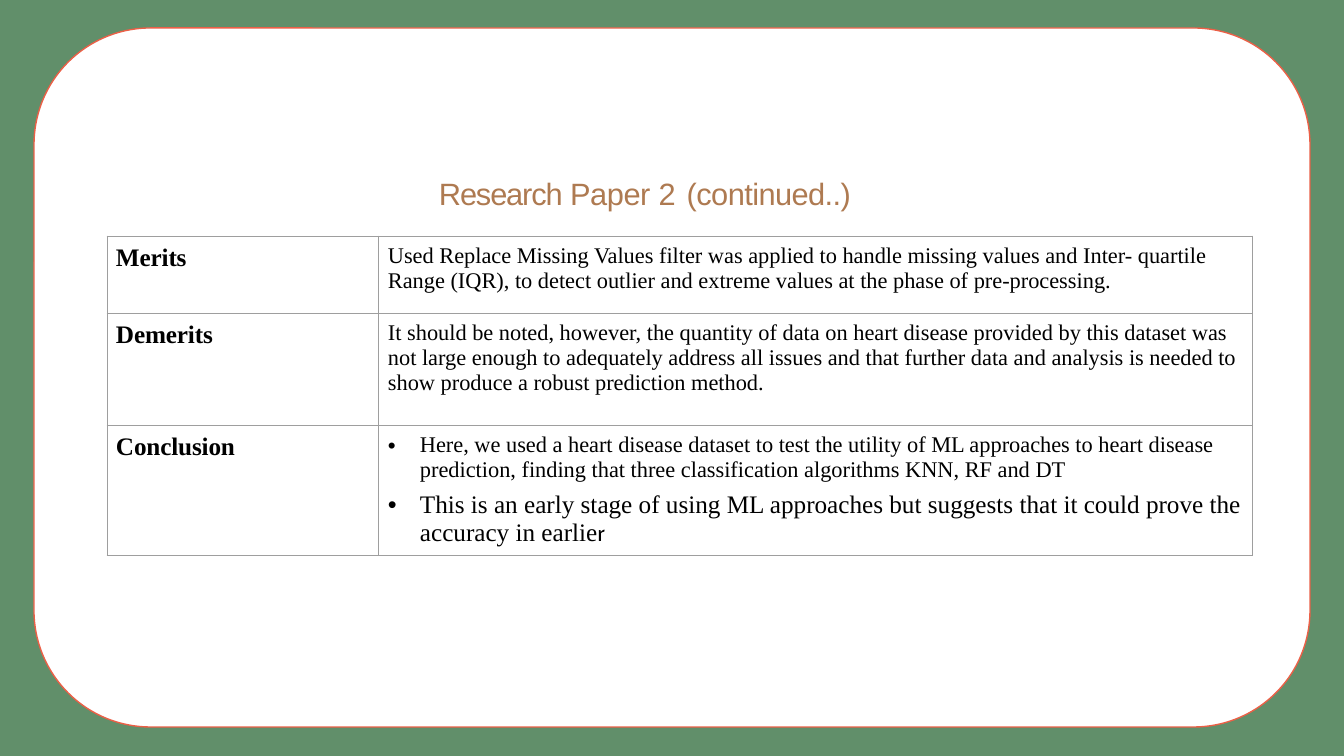
from lxml import etree
from pptx import Presentation
from pptx import util as u
from pptx.dml.color import RGBColor
from pptx.enum import shapes, text
from pptx.oxml.ns import qn

COLORS = {"green": "618F6A", "white": "FFFFFF", "coral": "EB6047",
          "brown": "AE7A51", "black": "000000", "grey": "9E9E9E"}
SERIF = "Times New Roman"


def px(count):
    return u.Emu(round(count * 914400 / 100.8))


def add_span(para, words, color, spacing=0, **formats):
    span = para.add_run()
    span.text = words
    for name, value in formats.items():
        setattr(span.font, name, value)
    span.font.color.rgb = RGBColor.from_string(COLORS[color])
    span.font._element.set("spc", str(spacing))


deck = Presentation()
deck.slide_width, deck.slide_height = px(1344), px(756)
page = deck.slides.add_slide(deck.slide_layouts[5])
page.background.fill.solid()
page.background.fill.fore_color.rgb = RGBColor.from_string(COLORS["green"])

card = page.shapes.add_shape(shapes.MSO_SHAPE.ROUNDED_RECTANGLE,
                             px(34), px(28), px(1276), px(699))
card.shadow.inherit = False
card.fill.solid()
card.fill.fore_color.rgb = RGBColor.from_string(COLORS["white"])
card.line.color.rgb = RGBColor.from_string(COLORS["coral"])
card.line.width = u.Pt(1)

title = page.shapes.title
title._element.addprevious(card._element)
title.left, title.top, title.width, title.height = px(375), px(174), px(540), px(38)
frame_format = {"margin_left": 0, "margin_right": 0, "margin_top": px(1),
                "margin_bottom": 0, "word_wrap": True,
                "vertical_anchor": text.MSO_ANCHOR.BOTTOM,
                "auto_size": text.MSO_AUTO_SIZE.NONE}
for name, value in frame_format.items():
    setattr(title.text_frame, name, value)
heading = title.text_frame.paragraphs[0]
heading.alignment = text.PP_ALIGN.CENTER
for words, spacing in [("Research ", -80), ("Paper ", -30), ("2 ", 90), ("(continued..)", -40)]:
    add_span(heading, words, "brown", spacing, name="Arial", size=u.Pt(22), bold=False)

rows = [
    ("Merits", 77, [[("Used Replace Missing Values filter was applied to handle missing values "
                      "and Inter- quartile Range (IQR), to detect outlier and extreme values at "
                      "the phase of pre-processing.", 16, SERIF)]]),
    ("Demerits", 112, [[("It should be noted, however, the quantity of data on heart disease "
                         "provided by this dataset was not large enough to adequately address all "
                         "issues and that further data and analysis is needed to show produce a "
                         "robust prediction method.", 16, SERIF)]]),
    ("Conclusion", 131, [
        [("Here, we used a heart disease dataset to test the utility of ML approaches to heart "
          "disease prediction, finding that three classification algorithms KNN, RF and DT",
          16, SERIF)],
        [("This is an early stage of using ML approaches but suggests that it could prove the "
          "accuracy in earlie", 18, SERIF), ("r", 16, "Cabin")]]),
]
table = page.shapes.add_table(len(rows), 2, px(107), px(236), px(1146), px(320)).table
table.first_row = table.horz_banding = False
for column, width in zip(table.columns, [272, 874]):
    column.width = px(width)

for index, (label, height, paragraphs) in enumerate(rows):
    table.rows[index].height = px(height)
    label_cell, detail_cell = table.cell(index, 0), table.cell(index, 1)
    for cell in (label_cell, detail_cell):
        cell.margin_left = cell.margin_right = cell.margin_bottom = 0
        cell.margin_top = px(8)
        properties = cell._tc.get_or_add_tcPr()
        for side in ("lnL", "lnR", "lnT", "lnB"):
            border = etree.SubElement(properties, qn(f"a:{side}"), w=str(u.Pt(0.75)))
            paint = etree.SubElement(border, qn("a:solidFill"))
            etree.SubElement(paint, qn("a:srgbClr"), val=COLORS["grey"])
        cell.fill.solid()
        cell.fill.fore_color.rgb = RGBColor.from_string(COLORS["white"])

    para = label_cell.text_frame.paragraphs[0]
    para._p.get_or_add_pPr().set("marL", str(px(9)))
    add_span(para, label, "black", -10, name=SERIF, size=u.Pt(18), bold=True)

    bulleted = len(paragraphs) > 1
    for order, spans in enumerate(paragraphs):
        frame = detail_cell.text_frame
        para = frame.add_paragraph() if order else frame.paragraphs[0]
        layout = para._p.get_or_add_pPr()
        layout.set("marL", str(px(41 if bulleted else 9)))
        if bulleted:
            layout.set("indent", str(-px(32)))
            etree.SubElement(layout, qn("a:buFont"), typeface="Arial")
            etree.SubElement(layout, qn("a:buChar"), char="•")
        if order:
            para.space_before = u.Pt(6)
        for words, size, font in spans:
            add_span(para, words, "black", name=font, size=u.Pt(size), bold=False)

deck.save("out.pptx")
